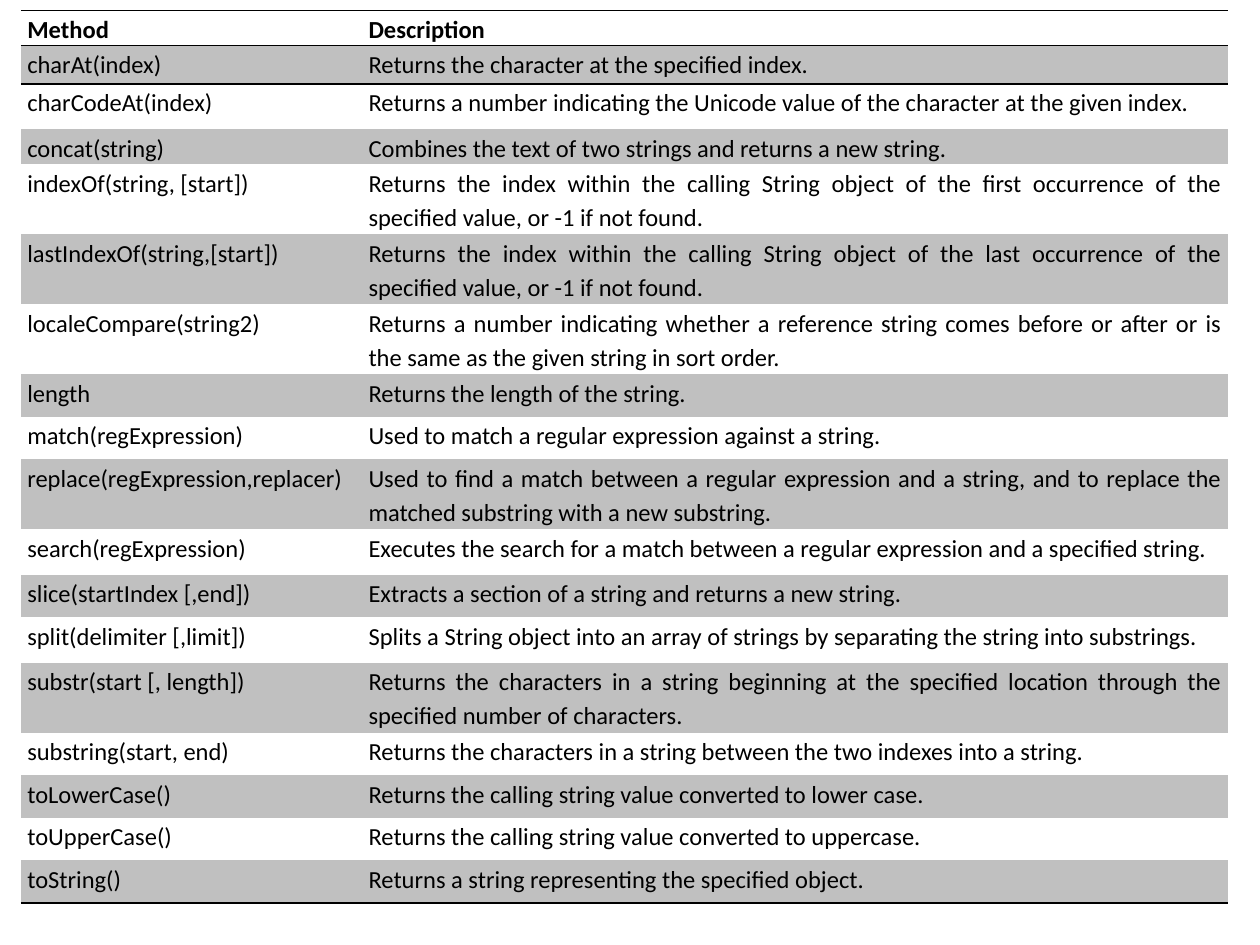
from pptx import Presentation
from pptx import util as u
from pptx.dml import color
from pptx.enum import text
from pptx.oxml import parse_xml
from pptx.oxml.ns import nsdecls, qn

BLACK, WHITE, GREY = "000000", "FFFFFF", "C0C0C0"
NO_STYLE_NO_GRID = "{2D5ABB26-0587-4C30-8999-92F81FD0307C}"
COLUMN_WIDTHS = (195, 495)
HEADER = ("Method", "Description", 20)
METHODS = [
    ("charAt(index)", "Returns the character at the specified index.", 22),
    ("charCodeAt(index)",
     "Returns a number indicating the Unicode value of the character at the given index.", 26),
    ("concat(string)", "Combines the text of two strings and returns a new string.", 20),
    ("indexOf(string, [start])",
     "Returns the index within the calling String object of the first occurrence of the "
     "specified value, or -1 if not found.", 40),
    ("lastIndexOf(string,[start])",
     "Returns the index within the calling String object of the last occurrence of the "
     "specified value, or -1 if not found.", 40),
    ("localeCompare(string2)",
     "Returns a number indicating whether a reference string comes before or after or is "
     "the same as the given string in sort order.", 40),
    ("length", "Returns the length of the string.", 24.3),
    ("match(regExpression)", "Used to match a regular expression against a string.", 24.3),
    ("replace(regExpression,replacer)",
     "Used to find a match between a regular expression and a string, and to replace the "
     "matched substring with a new substring.", 40),
    ("search(regExpression)",
     "Executes the search for a match between a regular expression and a specified string.", 26),
    ("slice(startIndex [,end])", "Extracts a section of a string and returns a new string.", 24.3),
    ("split(delimiter [,limit])",
     "Splits a String object into an array of strings by separating the string into substrings.",
     26),
    ("substr(start [, length])",
     "Returns the characters in a string beginning at the specified location through the "
     "specified number of characters.", 40),
    ("substring(start, end)",
     "Returns the characters in a string between the two indexes into a string.", 24.3),
    ("toLowerCase()", "Returns the calling string value converted to lower case.", 24.3),
    ("toUpperCase()", "Returns the calling string value converted to uppercase.", 24.3),
    ("toString()", "Returns a string representing the specified object.", 24.3),
]


def rgb(value):
    return color.RGBColor.from_string(value)


def write_text(frame, content, size=14, bold=False, fill=BLACK, font="Calibri"):
    paragraph = frame.paragraphs[0]
    paragraph.alignment = text.PP_ALIGN.JUSTIFY
    paragraph.line_spacing = 1.15
    run = paragraph.add_run()
    run.text = content
    run.font.name = font
    run.font.size = u.Pt(size)
    run.font.bold = bold
    run.font.color.rgb = rgb(fill)


def add_borders(cell, sides, line_color=BLACK, width=1):
    properties = cell._tc.get_or_add_tcPr()
    for position, side in enumerate(sides):
        properties.insert(position, parse_xml(
            f'<a:ln{side} {nsdecls("a")} w="{u.Pt(width)}"><a:solidFill>'
            f'<a:srgbClr val="{line_color}"/></a:solidFill></a:ln{side}>'))


def format_cell(cell, fill, sides):
    cell.margin_left = cell.margin_right = u.Pt(3.6)
    cell.margin_top = cell.margin_bottom = u.Pt(0)
    cell.fill.solid()
    cell.fill.fore_color.rgb = rgb(fill)
    add_borders(cell, sides)


def add_method_table(slide, left, top):
    rows = [HEADER, *METHODS]
    last = len(rows) - 1
    row_sides = {0: "TB", 1: "T", last: "B"}
    table = slide.shapes.add_table(
        len(rows), len(COLUMN_WIDTHS), u.Pt(left), u.Pt(top),
        u.Pt(sum(COLUMN_WIDTHS)), u.Pt(sum(row[-1] for row in rows))).table
    table.first_row = table.horz_banding = False
    table._tbl.tblPr.find(qn("a:tableStyleId")).text = NO_STYLE_NO_GRID
    for column, width in zip(table.columns, COLUMN_WIDTHS):
        column.width = u.Pt(width)
    for index, (*contents, height) in enumerate(rows):
        table.rows[index].height = u.Pt(height)
        for cell, content in zip(table.rows[index].cells, contents):
            format_cell(cell, GREY if index % 2 else WHITE, row_sides.get(index, ""))
            write_text(cell.text_frame, content, bold=index == 0)


def main():
    presentation = Presentation()
    presentation.slide_width, presentation.slide_height = u.Pt(720), u.Pt(540)
    slide = presentation.slides.add_slide(presentation.slide_layouts[6])
    add_method_table(slide, left=12, top=6)
    presentation.save("out.pptx")


if __name__ == "__main__":
    main()
